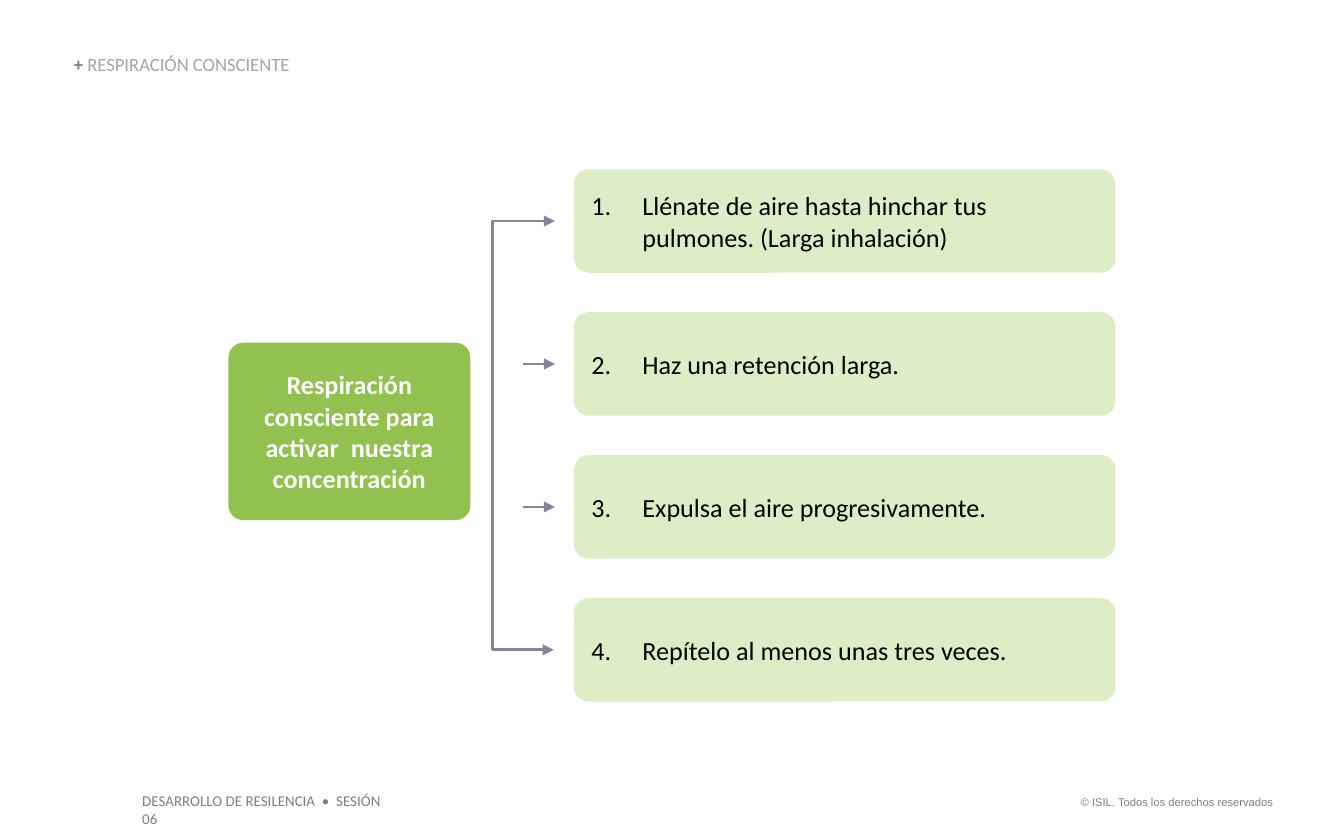
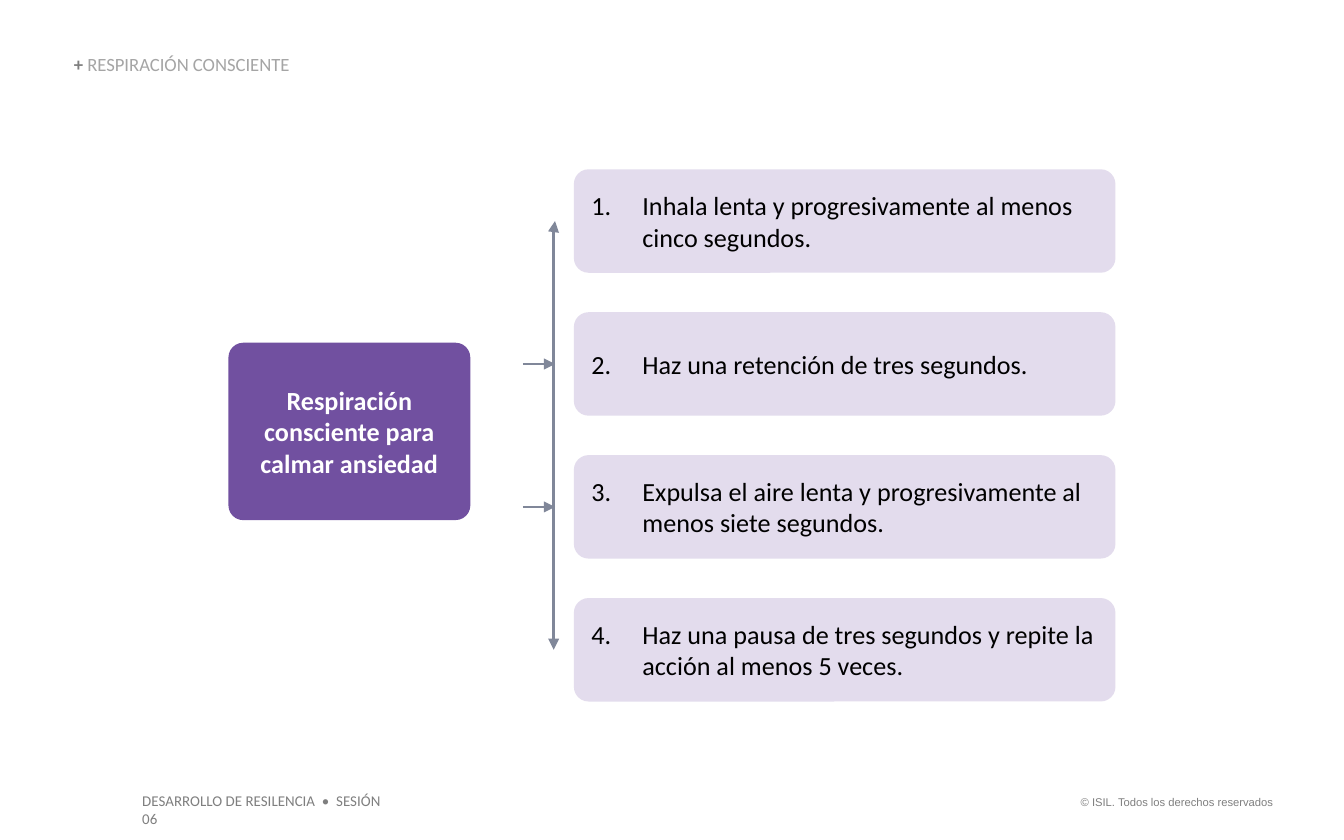
"""Build two slides on conscious breathing, each with a topic and four numbered steps."""
from dataclasses import dataclass

import pptx
import pptx.dml.color
import pptx.enum.shapes
import pptx.enum.text
import pptx.oxml.ns
import pptx.util
from lxml import etree
from pptx.util import Inches

GREY = "7F7F7F"
LIGHT_GREY = "A5A5A5"
ARROW_COLOR = "808799"
BLACK = "000000"
WHITE = "FFFFFF"

STEP_LEFT, STEP_WIDTH, STEP_HEIGHT = 4.27, 4.03, 0.77
FIRST_STEP_TOP, LAST_STEP_TOP = 1.26, 4.45
ARROW_START, ARROW_END = 3.89, 4.13
BRACKET_WIDTH = 0.01
CORNER_RADIUS = 0.11

ALIGN = pptx.enum.text.PP_ALIGN
ANCHOR = pptx.enum.text.MSO_ANCHOR


@dataclass(frozen=True)
class Box:
    """Position and size in inches."""
    left: float
    top: float
    width: float
    height: float

    def lengths(self) -> tuple:
        return tuple(Inches(value) for value in (self.left, self.top, self.width, self.height))


@dataclass(frozen=True)
class Footer:
    box: Box
    text: str
    size: float
    font: str
    align: ALIGN


@dataclass(frozen=True)
class Exercise:
    topic: str
    topic_color: str
    step_color: str
    bracket_left: float
    steps: tuple[str, ...]


TITLE_BOX = Box(0.55, 0.41, 2.66, 0.15)
TOPIC_BOX = Box(1.7, 2.55, 1.8, 1.32)
FOOTERS = (
    Footer(Box(7.88, 5.87, 1.69, 0.2), "© ISIL. Todos los derechos reservados", 6, "Arial", ALIGN.RIGHT),
    Footer(Box(0.96, 5.84, 2.11, 0.24), "DESARROLLO DE RESILENCIA  •  SESIÓN 06", 8, "Calibri", ALIGN.LEFT),
)
EXERCISES = (
    Exercise(
        "Respiración consciente para activar  nuestra concentración", "91C14E", "DDEEC7", 3.66,
        (
            "Llénate de aire hasta hinchar tus pulmones. (Larga inhalación)",
            "Haz una retención larga.",
            "Expulsa el aire progresivamente.",
            "Repítelo al menos unas tres veces.",
        ),
    ),
    Exercise(
        "Respiración consciente para calmar ansiedad", "7150A0", "E3DCED", 4.12,
        (
            "Inhala lenta y progresivamente al menos cinco segundos.",
            "Haz una retención de tres segundos.",
            "Expulsa el aire lenta y progresivamente al menos siete segundos.",
            "Haz una pausa de tres segundos y repite la acción al menos 5 veces.",
        ),
    ),
)


def rgb(color: str) -> pptx.dml.color.RGBColor:
    return pptx.dml.color.RGBColor.from_string(color)


def add_element(parent, tag: str, **attributes: str):
    element = etree.SubElement(parent, pptx.oxml.ns.qn(tag))
    for name, value in attributes.items():
        element.set(name, value)
    return element


def write_text(paragraph, text: str, *, size: float = 14, color: str = BLACK, font: str = "Calibri",
               bold: bool = False, align: ALIGN = ALIGN.LEFT) -> None:
    paragraph.alignment = align
    run = paragraph.add_run()
    run.text = text
    run.font.size = pptx.util.Pt(size)
    run.font.name = font
    run.font.bold = bold
    run.font.color.rgb = rgb(color)


def add_title(slide) -> None:
    title = slide.shapes.title
    title.left, title.top, title.width, title.height = TITLE_BOX.lengths()
    frame = title.text_frame
    frame.margin_left = frame.margin_top = frame.margin_right = frame.margin_bottom = 0
    frame.vertical_anchor = ANCHOR.BOTTOM
    frame.word_wrap = True
    frame.auto_size = pptx.enum.text.MSO_AUTO_SIZE.SHAPE_TO_FIT_TEXT
    paragraph = frame.paragraphs[0]
    paragraph.line_spacing = 0.9
    write_text(paragraph, "+ ", size=10, color=GREY, bold=True)
    write_text(paragraph, "RESPIRACIÓN CONSCIENTE", size=10, color=LIGHT_GREY)


def add_footer(slide, footer: Footer) -> None:
    frame = slide.shapes.add_textbox(*footer.box.lengths()).text_frame
    frame.word_wrap = True
    frame.auto_size = pptx.enum.text.MSO_AUTO_SIZE.SHAPE_TO_FIT_TEXT
    write_text(frame.paragraphs[0], footer.text, size=footer.size, color=GREY,
               font=footer.font, align=footer.align)


def add_card(slide, box: Box, fill: str):
    """Draw a rounded card and return its empty paragraph."""
    shape = slide.shapes.add_shape(pptx.enum.shapes.MSO_SHAPE.ROUNDED_RECTANGLE, *box.lengths())
    shape.adjustments[0] = CORNER_RADIUS / box.height
    shape.shadow.inherit = False
    shape.fill.solid()
    shape.fill.fore_color.rgb = rgb(fill)
    shape.line.fill.background()
    shape.text_frame.word_wrap = True
    shape.text_frame.vertical_anchor = ANCHOR.MIDDLE
    return shape.text_frame.paragraphs[0]


def number_paragraph(paragraph, number: int) -> None:
    properties = paragraph._p.get_or_add_pPr()
    properties.set("marL", str(Inches(0.38)))
    properties.set("indent", str(Inches(-0.38)))
    add_element(add_element(properties, "a:buClr"), "a:srgbClr", val=BLACK)
    add_element(properties, "a:buFont", typeface="+mj-lt")
    add_element(properties, "a:buAutoNum", type="arabicPeriod", startAt=str(number))


def add_arrow(slide, kind, start: tuple[float, float], end: tuple[float, float],
              ends: tuple[str, ...] = ("a:tailEnd",)):
    connector = slide.shapes.add_connector(kind, *(Inches(value) for value in start + end))
    connector.line.color.rgb = rgb(ARROW_COLOR)
    connector.line.width = pptx.util.Pt(1.5)
    line = connector.line._get_or_add_ln()
    for tag in ends:
        add_element(line, tag, type="triangle")
    add_element(connector._element.spPr, "a:effectLst")
    return connector


def add_bracket(slide, left: float, top: float, bottom: float) -> None:
    """Draw the two-headed elbow whose vertical part stands at left."""
    connector = add_arrow(slide, pptx.enum.shapes.MSO_CONNECTOR.ELBOW, (ARROW_END, top),
                          (ARROW_END - BRACKET_WIDTH, bottom), ("a:headEnd", "a:tailEnd"))
    bend = round((ARROW_END - left) / BRACKET_WIDTH * 100000)
    adjustments = connector._element.spPr.prstGeom.get_or_add_avLst()
    add_element(adjustments, "a:gd", name="adj1", fmla=f"val {bend}")


def build_slide(presentation, exercise: Exercise) -> None:
    slide = presentation.slides.add_slide(presentation.slide_layouts[5])
    for footer in FOOTERS:
        add_footer(slide, footer)
    add_title(slide)

    pitch = (LAST_STEP_TOP - FIRST_STEP_TOP) / (len(exercise.steps) - 1)
    tops = [FIRST_STEP_TOP + index * pitch for index in range(len(exercise.steps))]
    middles = [top + STEP_HEIGHT / 2 for top in tops]
    add_bracket(slide, exercise.bracket_left, middles[0], middles[-1])
    for middle in middles[1:-1]:
        add_arrow(slide, pptx.enum.shapes.MSO_CONNECTOR.STRAIGHT,
                  (ARROW_START, middle), (ARROW_END, middle))

    topic = add_card(slide, TOPIC_BOX, exercise.topic_color)
    write_text(topic, exercise.topic, color=WHITE, bold=True, align=ALIGN.CENTER)
    for number, (top, step) in enumerate(zip(tops, exercise.steps), start=1):
        paragraph = add_card(slide, Box(STEP_LEFT, top, STEP_WIDTH, STEP_HEIGHT), exercise.step_color)
        number_paragraph(paragraph, number)
        write_text(paragraph, step)


def main() -> None:
    presentation = pptx.Presentation()
    presentation.slide_width = Inches(10)
    presentation.slide_height = Inches(6.25)
    for exercise in EXERCISES:
        build_slide(presentation, exercise)
    presentation.save("out.pptx")


if __name__ == "__main__":
    main()
